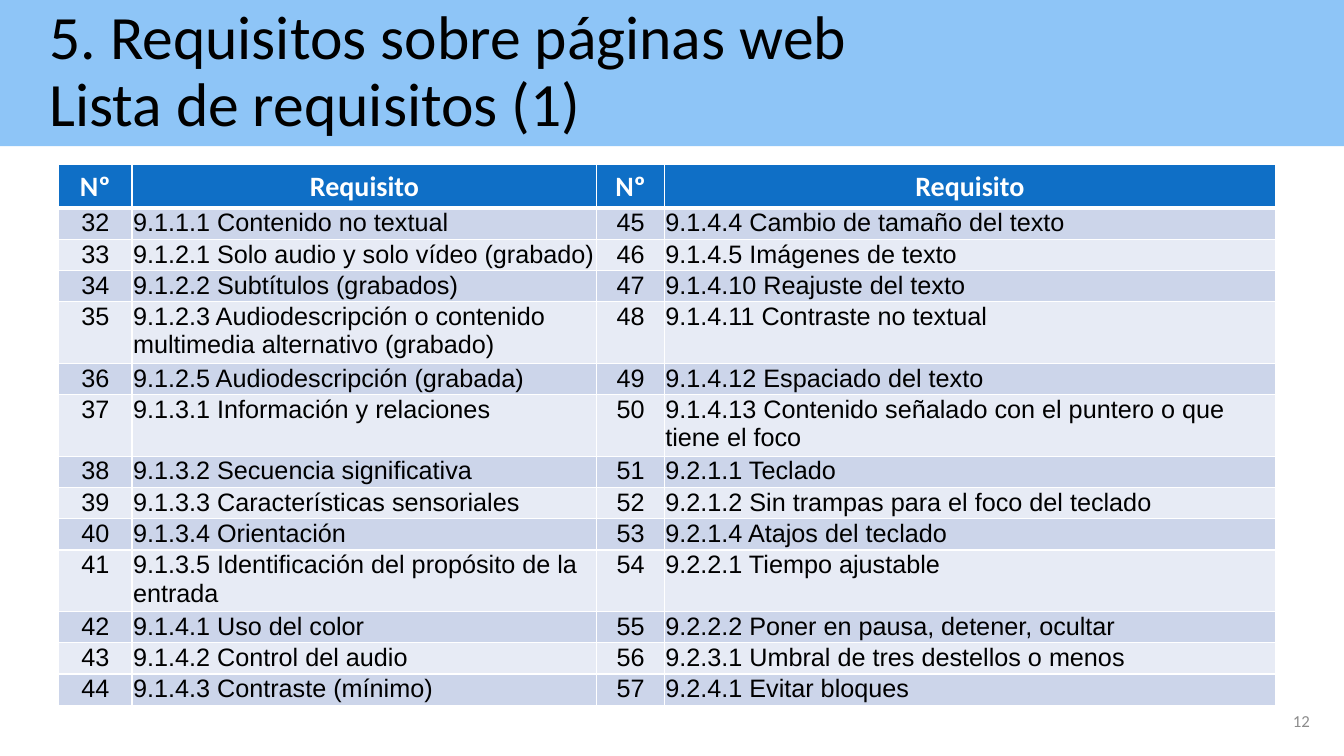
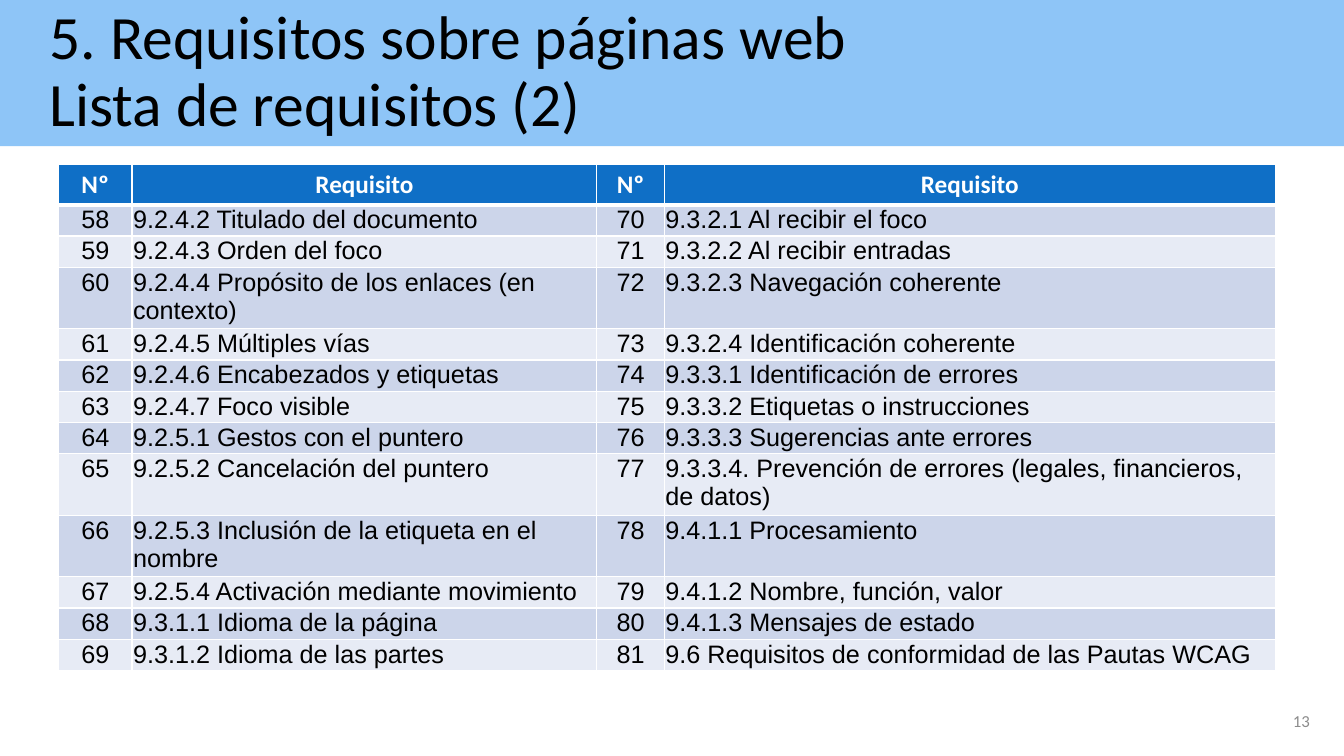
"""Build two slides that list the numbered requirements for web pages."""
from lxml import etree
from pptx import Presentation
from pptx.dml.color import RGBColor
from pptx.enum.shapes import MSO_SHAPE
from pptx.enum.text import MSO_ANCHOR, PP_ALIGN
from pptx.oxml.ns import qn
from pptx.util import Inches, Pt

LEFT, CENTER, RIGHT = PP_ALIGN.LEFT, PP_ALIGN.CENTER, PP_ALIGN.RIGHT
MIDDLE = MSO_ANCHOR.MIDDLE
RECT = MSO_SHAPE.RECTANGLE
COLORS = {
    "band": "8EC5F7",
    "head": "0F6FC6",
    "odd": "CCD5EA",
    "even": "E7EBF5",
    "white": "FFFFFF",
    "black": "000000",
    "gray": "8C8C8C",
}
WIDTHS = [0.73, 4.61, 0.67, 6.06]
LIMITS = [42, 55]
LINE = 0.29
HEADS = ["Nº", "Requisito"] * 2

PAGES = [
    {
        "page": 12, "part": 1, "first": 32, "size": 20, "top": 0.43,
        "left": [
            "9.1.1.1 Contenido no textual",
            "9.1.2.1 Solo audio y solo vídeo (grabado)",
            "9.1.2.2 Subtítulos (grabados)",
            "9.1.2.3 Audiodescripción o contenido multimedia alternativo (grabado)",
            "9.1.2.5 Audiodescripción (grabada)",
            "9.1.3.1 Información y relaciones",
            "9.1.3.2 Secuencia significativa",
            "9.1.3.3 Características sensoriales",
            "9.1.3.4 Orientación",
            "9.1.3.5 Identificación del propósito de la entrada",
            "9.1.4.1 Uso del color",
            "9.1.4.2 Control del audio",
            "9.1.4.3 Contraste (mínimo)",
        ],
        "right": [
            "9.1.4.4 Cambio de tamaño del texto",
            "9.1.4.5 Imágenes de texto",
            "9.1.4.10 Reajuste del texto",
            "9.1.4.11 Contraste no textual",
            "9.1.4.12 Espaciado del texto",
            "9.1.4.13 Contenido señalado con el puntero o que tiene el foco",
            "9.2.1.1 Teclado",
            "9.2.1.2 Sin trampas para el foco del teclado",
            "9.2.1.4 Atajos del teclado",
            "9.2.2.1 Tiempo ajustable",
            "9.2.2.2 Poner en pausa, detener, ocultar",
            "9.2.3.1 Umbral de tres destellos o menos",
            "9.2.4.1 Evitar bloques",
        ],
    },
    {
        "page": 13, "part": 2, "first": 58, "size": 18, "top": 0.4,
        "left": [
            "9.2.4.2 Titulado del documento",
            "9.2.4.3 Orden del foco",
            "9.2.4.4 Propósito de los enlaces (en contexto)",
            "9.2.4.5 Múltiples vías",
            "9.2.4.6 Encabezados y etiquetas",
            "9.2.4.7 Foco visible",
            "9.2.5.1 Gestos con el puntero",
            "9.2.5.2 Cancelación del puntero",
            "9.2.5.3 Inclusión de la etiqueta en el nombre",
            "9.2.5.4 Activación mediante movimiento",
            "9.3.1.1 Idioma de la página",
            "9.3.1.2 Idioma de las partes",
        ],
        "right": [
            "9.3.2.1 Al recibir el foco",
            "9.3.2.2 Al recibir entradas",
            "9.3.2.3 Navegación coherente",
            "9.3.2.4 Identificación coherente",
            "9.3.3.1 Identificación de errores",
            "9.3.3.2 Etiquetas o instrucciones",
            "9.3.3.3 Sugerencias ante errores",
            "9.3.3.4. Prevención de errores (legales, financieros, de datos)",
            "9.4.1.1 Procesamiento",
            "9.4.1.2 Nombre, función, valor",
            "9.4.1.3 Mensajes de estado",
            "9.6 Requisitos de conformidad de las Pautas WCAG",
        ],
    },
]


def write(frame, text, size=18, font="Calibri", color="black", bold=False,
          align=LEFT, space=1.0):
    frame.word_wrap = True
    para = frame.paragraphs[0]
    para.text = text
    para.alignment = align
    para.line_spacing = space
    for run in para.runs:
        run.font.size = Pt(size)
        run.font.name = font
        run.font.bold = bold
        run.font.color.rgb = RGBColor.from_string(COLORS[color])


def paint(cell, color, top, base):
    props = cell._tc.get_or_add_tcPr()
    for side, width in zip("LRTB", (1, 1, top, base)):
        line = etree.SubElement(props, qn(f"a:ln{side}"), w=str(Pt(width)))
        fill = etree.SubElement(line, qn("a:solidFill"))
        etree.SubElement(fill, qn("a:srgbClr"), val=COLORS["white"])
    cell.fill.solid()
    cell.fill.fore_color.rgb = RGBColor.from_string(COLORS[color])


deck = Presentation()
deck.slide_width, deck.slide_height = Inches(13.33), Inches(7.5)

for page in PAGES:
    slide = deck.slides.add_slide(deck.slide_layouts[6])

    band = slide.shapes.add_shape(RECT, 0, 0, deck.slide_width, Inches(1.45))
    band.shadow.inherit = False
    band.fill.solid()
    band.fill.fore_color.rgb = RGBColor.from_string(COLORS["band"])
    band.line.fill.background()
    band.text_frame.margin_left = Inches(0.49)
    band.text_frame.vertical_anchor = MIDDLE
    title = f"5. Requisitos sobre páginas web\nLista de requisitos ({page['part']})"
    write(band.text_frame, title, size=44, space=0.9)

    foot = slide.shapes.add_textbox(
        Inches(10.09), Inches(6.95), Inches(3), Inches(0.4))
    foot.text_frame.vertical_anchor = MIDDLE
    write(foot.text_frame, str(page["page"]), size=12, color="gray", align=RIGHT)

    count = len(page["left"])
    rows = [HEADS]
    highs = [page["top"]]
    for i, pair in enumerate(zip(page["left"], page["right"])):
        num = page["first"] + i
        rows.append([str(num), pair[0], str(num + count), pair[1]])
        wraps = any(len(text) > most for text, most in zip(pair, LIMITS))
        highs.append(LINE * 2 if wraps else LINE)

    table = slide.shapes.add_table(
        len(rows), len(WIDTHS), Inches(0.58), Inches(1.63),
        Inches(sum(WIDTHS)), Inches(sum(highs))).table
    for col, width in zip(table.columns, WIDTHS):
        col.width = Inches(width)
    for r, (texts, high) in enumerate(zip(rows, highs)):
        table.rows[r].height = Inches(high)
        for c, text in enumerate(texts):
            cell = table.cell(r, c)
            if r == 0:
                paint(cell, "head", 1, 3)
                write(cell.text_frame, text, size=page["size"], color="white",
                      bold=True, align=CENTER)
            else:
                cell.margin_left = cell.margin_right = Inches(0.01)
                cell.margin_top, cell.margin_bottom = Inches(0.01), 0
                paint(cell, "odd" if r % 2 else "even", 3 if r == 1 else 1, 1)
                write(cell.text_frame, text, font="Arial",
                      align=LEFT if c % 2 else CENTER)

deck.save("out.pptx")
